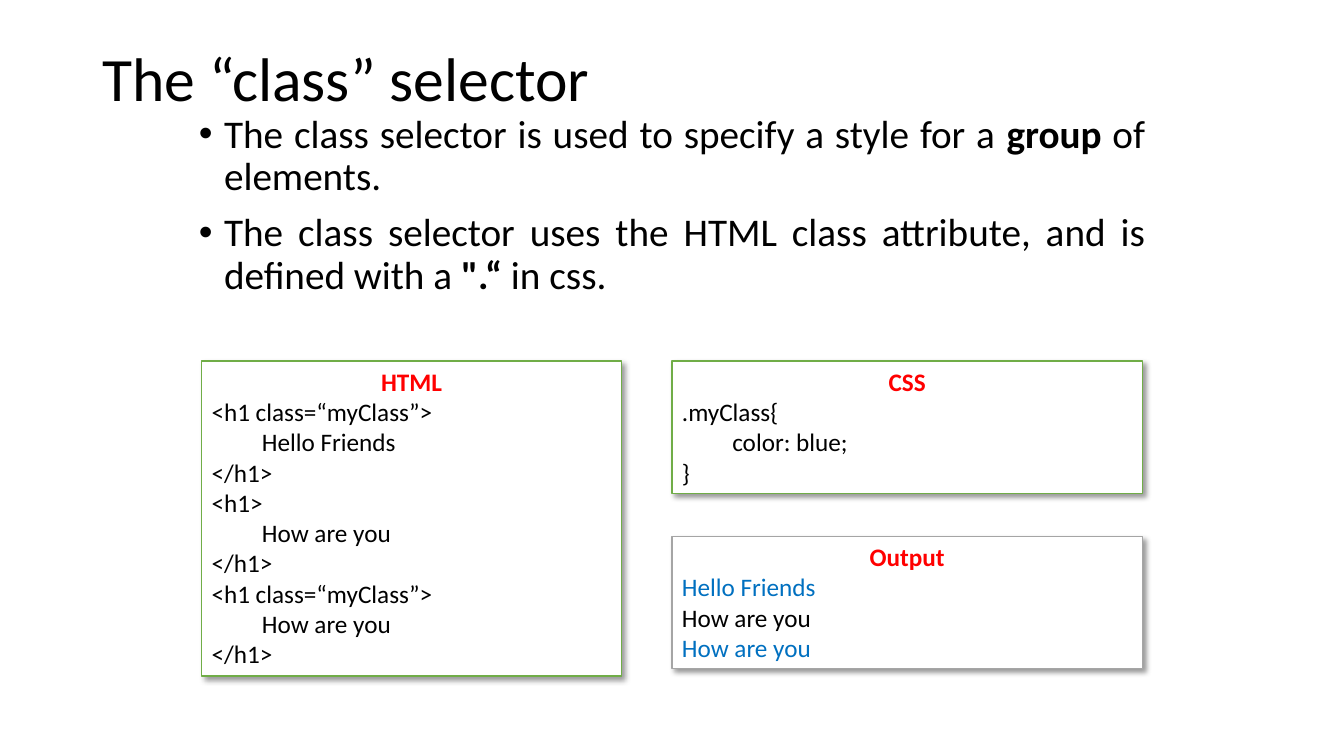
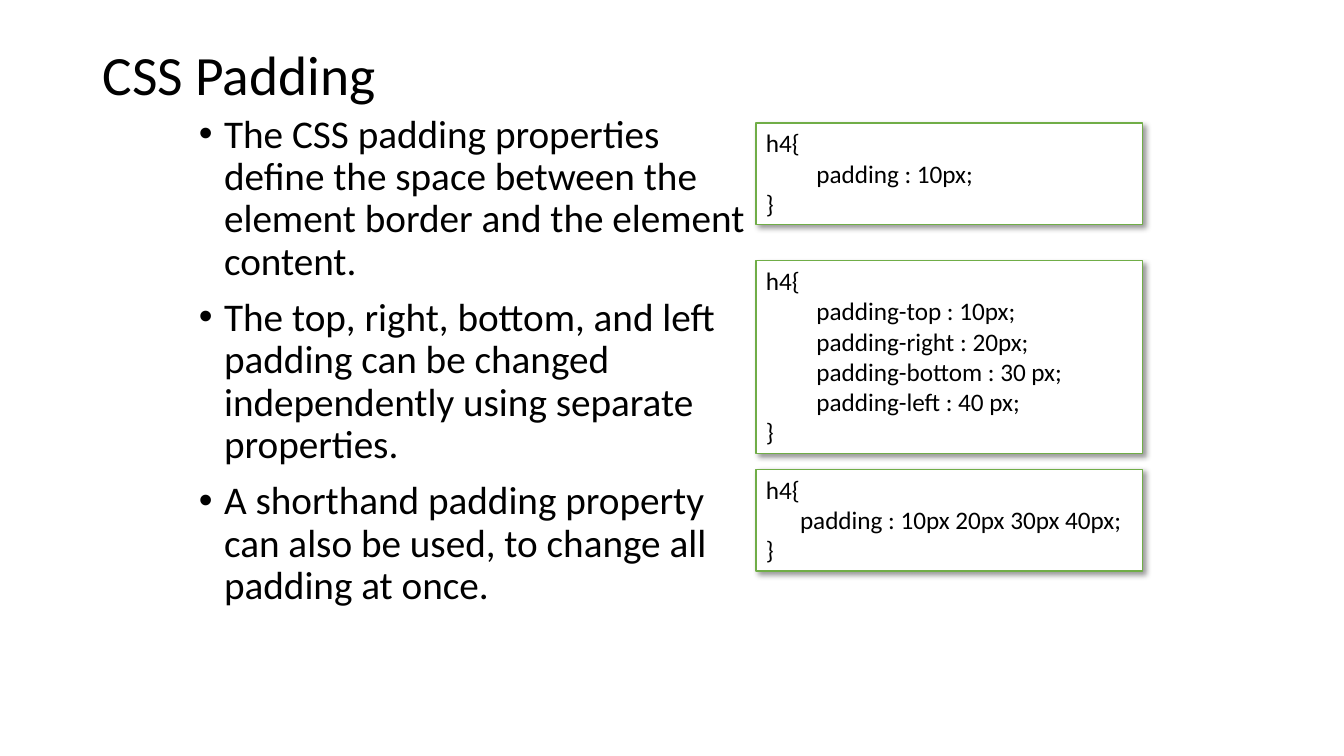
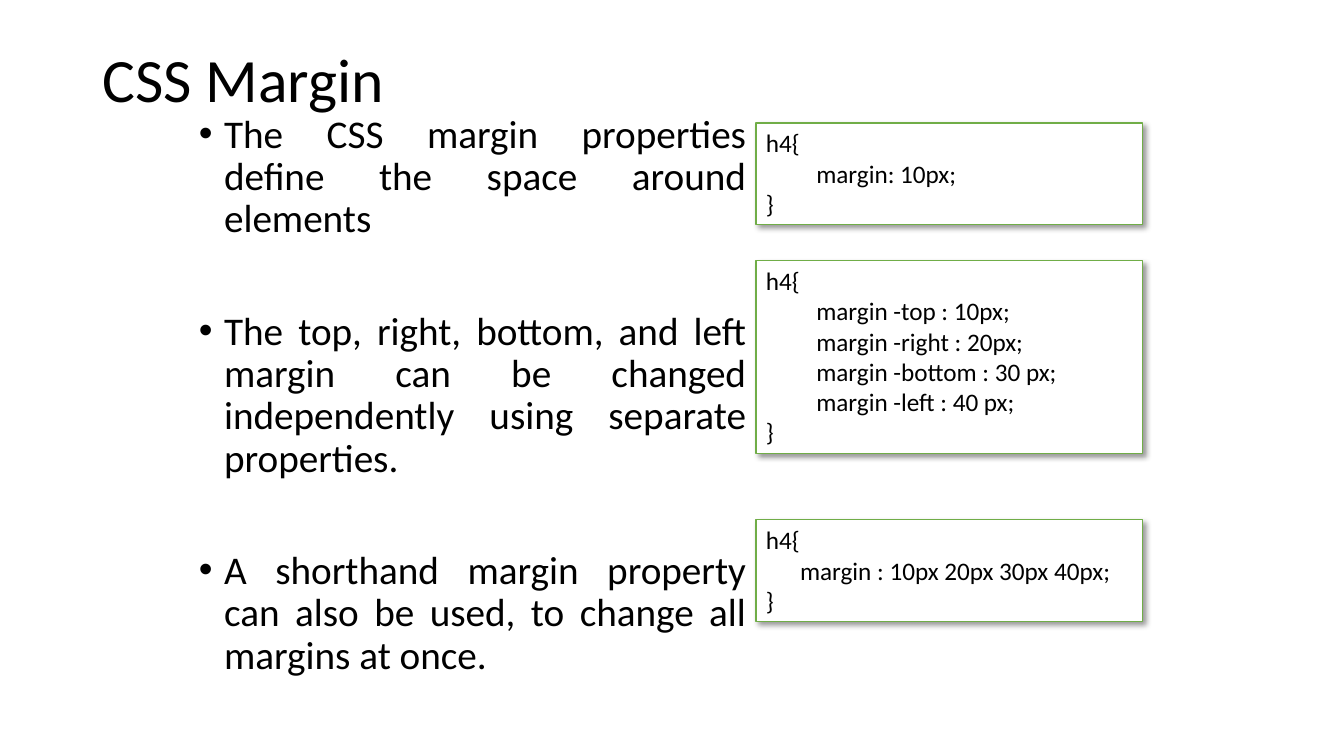
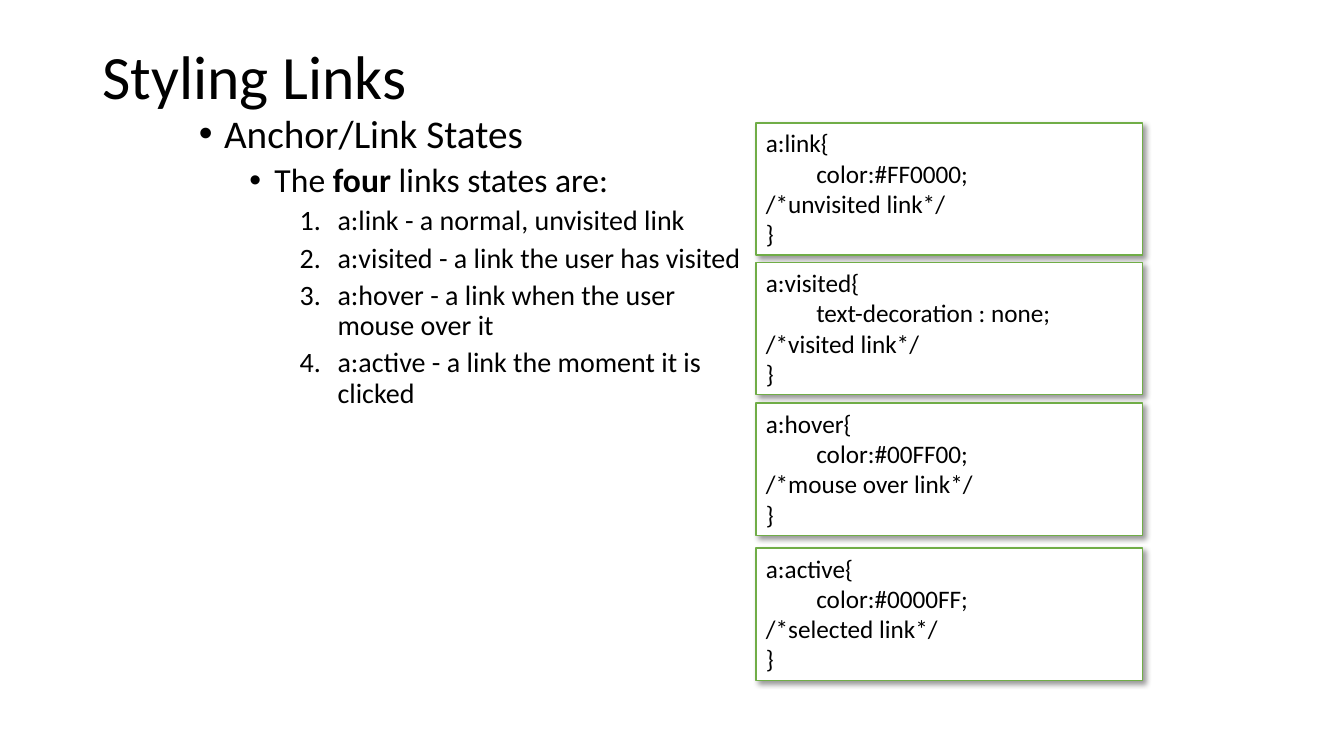
from lxml.etree import SubElement as Sub
from pptx import Presentation
from pptx.dml.color import RGBColor as Rgb
from pptx.enum.shapes import MSO_SHAPE as Form
from pptx.enum.text import MSO_ANCHOR as Anchor, MSO_AUTO_SIZE as Fit, PP_ALIGN as Align
from pptx.oxml.ns import qn
from pptx.util import Emu, Pt

PX = 9525  # 96 px to the inch
FONT = "Calibri"
HUES = {"ink": "000000", "paper": "FFFFFF", "green": "70AD47",
        "grey": "A5A5A5", "red": "FF0000", "blue": "0070C0"}
# Level: left margin, hanging indent, size, space before
LEVELS = [(24, 24, 28, 10), (72, 24, 24, 5), (132, 36, 20, 5)]
SIDE = (720, 368)  # left and width of the code column


def px(*nums):
    return [Emu(n * PX) for n in nums]


def hue(name):
    return Rgb.from_string(HUES[name])


def style(par, size, color="ink", bold=None):
    font = par.font
    font.name, font.size, font.bold = FONT, Pt(size), bold
    font.color.rgb = hue(color)


def fill_pars(frame, items):
    """Yield each item with its own paragraph."""
    for i, item in enumerate(items):
        yield i, item, frame.add_paragraph() if i else frame.paragraphs[0]


def add_page(deck, text, high, size=44):
    page = deck.slides.add_slide(deck.slide_layouts[5])
    title = page.shapes.title
    title.left, title.top, title.width, title.height = px(88, 38, 1104, high)
    frame = title.text_frame
    frame.auto_size, frame.vertical_anchor = Fit.NONE, Anchor.MIDDLE
    frame.text = text
    par = frame.paragraphs[0]
    par.alignment, par.line_spacing = Align.LEFT, 0.9
    style(par, size)
    return page


def add_list(page, items, wide=540, high=560, align=Align.JUSTIFY, gap=None):
    """Items are (level, text); text between bars is bold."""
    box = page.shapes.add_textbox(*px(180, 104, wide, high))
    frame = box.text_frame
    frame.word_wrap = True
    for i, (level, text), par in fill_pars(frame, items):
        left, hang, size, space = LEVELS[level]
        par.level = level
        props = par._p.get_or_add_pPr()
        props.set("marL", str(left * PX))
        props.set("indent", str(-hang * PX))
        if level == 2:
            Sub(props, qn("a:buFont"), typeface="+mj-lt")
            Sub(props, qn("a:buAutoNum"), type="arabicPeriod")
        else:
            Sub(props, qn("a:buFont"), typeface="Arial")
            Sub(props, qn("a:buChar"), char="•")
        par.alignment = Align.LEFT if level else align
        par.line_spacing = 0.9
        if i:
            par.space_before = Pt(gap or space)
        style(par, size)
        for j, part in enumerate(text.split("|")):
            run = par.add_run()
            run.text = part
            if j % 2:
                run.font.bold = True


def add_shade(shape):
    shape.shadow.inherit = False
    effects = shape._element.spPr.find(qn("a:effectLst"))
    shade = Sub(effects, qn("a:outerShdw"), blurRad=str(Pt(4)), dist=str(Pt(3)),
                dir="2700000", algn="tl", rotWithShape="0")
    color = Sub(shade, qn("a:srgbClr"), val=HUES["ink"])
    Sub(color, qn("a:alpha"), val="40000")


def add_code(page, left, top, wide, lines, head=None, edge="green", tints=()):
    """Code panel as tall as its lines; tints colours lines by index."""
    rows = [head, *lines] if head else lines
    box = page.shapes.add_shape(Form.RECTANGLE, *px(left, top, wide, len(rows) * 29 + 10))
    box.fill.solid()
    box.fill.fore_color.rgb = hue("paper")
    box.line.color.rgb = hue(edge)
    box.line.width = Pt(1)
    add_shade(box)
    frame = box.text_frame
    frame.word_wrap, frame.auto_size = True, Fit.SHAPE_TO_FIT_TEXT
    frame.vertical_anchor = Anchor.TOP
    for i, text, par in fill_pars(frame, rows):
        par.text = text
        top_row = bool(head) and i == 0
        par.alignment = Align.CENTER if top_row else Align.LEFT
        style(par, 18, "red" if top_row else "blue" if i in tints else "ink", top_row)


def add_rules(page, name, sep, tops):
    """The three ways to set a box property of h4."""
    sides = [("top", "10px"), ("right", "20px"), ("bottom", "30 px"), ("left", "40 px")]
    bodies = [
        [f"\t{name}{sep}: 10px;"],
        [f"\t{name}{sep}-{side} : {size};" for side, size in sides],
        [f"      {name} : 10px 20px 30px 40px;"],
    ]
    if name == "margin":
        bodies[0] = ["\tmargin: 10px;"]
    else:
        bodies[0] = ["\tpadding : 10px;"]
    for top, body in zip(tops, bodies):
        add_code(page, SIDE[0], top, SIDE[1], ["h4{", *body, "}"])


def class_page(deck):
    page = add_page(deck, "The “class” selector", 80)
    add_list(page, [
        (0, "The class selector is used to specify a style for a |group| of elements."),
        (0, "The class selector uses the HTML class attribute, and is defined with a "
            "|\".“| in css."),
    ], 920, 216)
    mark = "<h1 class=“myClass”>"
    html = []
    for tag, text in [(mark, "Hello Friends"), ("<h1>", "How are you"), (mark, "How are you")]:
        html += [tag, "\t" + text, "</h1>"]
    add_code(page, 192, 344, 400, html, "HTML")
    add_code(page, 640, 344, 448, [".myClass{", "\tcolor: blue;", "}"], "CSS")
    add_code(page, 640, 511, 448, ["Hello Friends", "How are you", "How are you"],
             "Output", "grey", (1, 3))


def padding_page(deck):
    page = add_page(deck, "CSS Padding", 71, 39.6)
    add_list(page, [
        (0, "The CSS padding properties define the space between the element border "
            "and the element content."),
        (0, "The top, right, bottom, and left padding can be changed independently "
            "using separate properties."),
        (0, "A shorthand padding property can also be used, to change all padding at once."),
    ], align=Align.LEFT)
    add_rules(page, "padding", "", (117, 248, 447))


def margin_page(deck):
    page = add_page(deck, "CSS Margin", 82)
    add_list(page, [
        (0, "The CSS margin properties define the space around elements"),
        (0, "The top, right, bottom, and left margin can be changed independently "
            "using separate properties."),
        (0, "A shorthand margin property can also be used, to change all margins at once."),
    ], gap=50)
    add_rules(page, "margin", " ", (117, 248, 495))


def links_page(deck):
    page = add_page(deck, "Styling Links", 76)
    add_list(page, [
        (0, "Anchor/Link States"),
        (1, "The |four| links states are:"),
        (2, "a:link - a normal, unvisited link"),
        (2, "a:visited - a link the user has visited"),
        (2, "a:hover - a link when the user mouse over it"),
        (2, "a:active - a link the moment it is clicked"),
    ])
    for top, state, rule, note in [
        (117, "link", "color:#FF0000;", "unvisited link"),
        (250, "visited", "text-decoration : none;", "visited link"),
        (384, "hover", "color:#00FF00;", "mouse over link"),
        (522, "active", "color:#0000FF;", "selected link"),
    ]:
        add_code(page, SIDE[0], top, SIDE[1],
                 [f"a:{state}{{", "\t" + rule, f"/*{note}*/", "}"])


def main():
    deck = Presentation()
    deck.slide_width, deck.slide_height = px(1280, 720)
    for build in (class_page, padding_page, margin_page, links_page):
        build(deck)
    deck.save("out.pptx")


if __name__ == "__main__":
    main()
